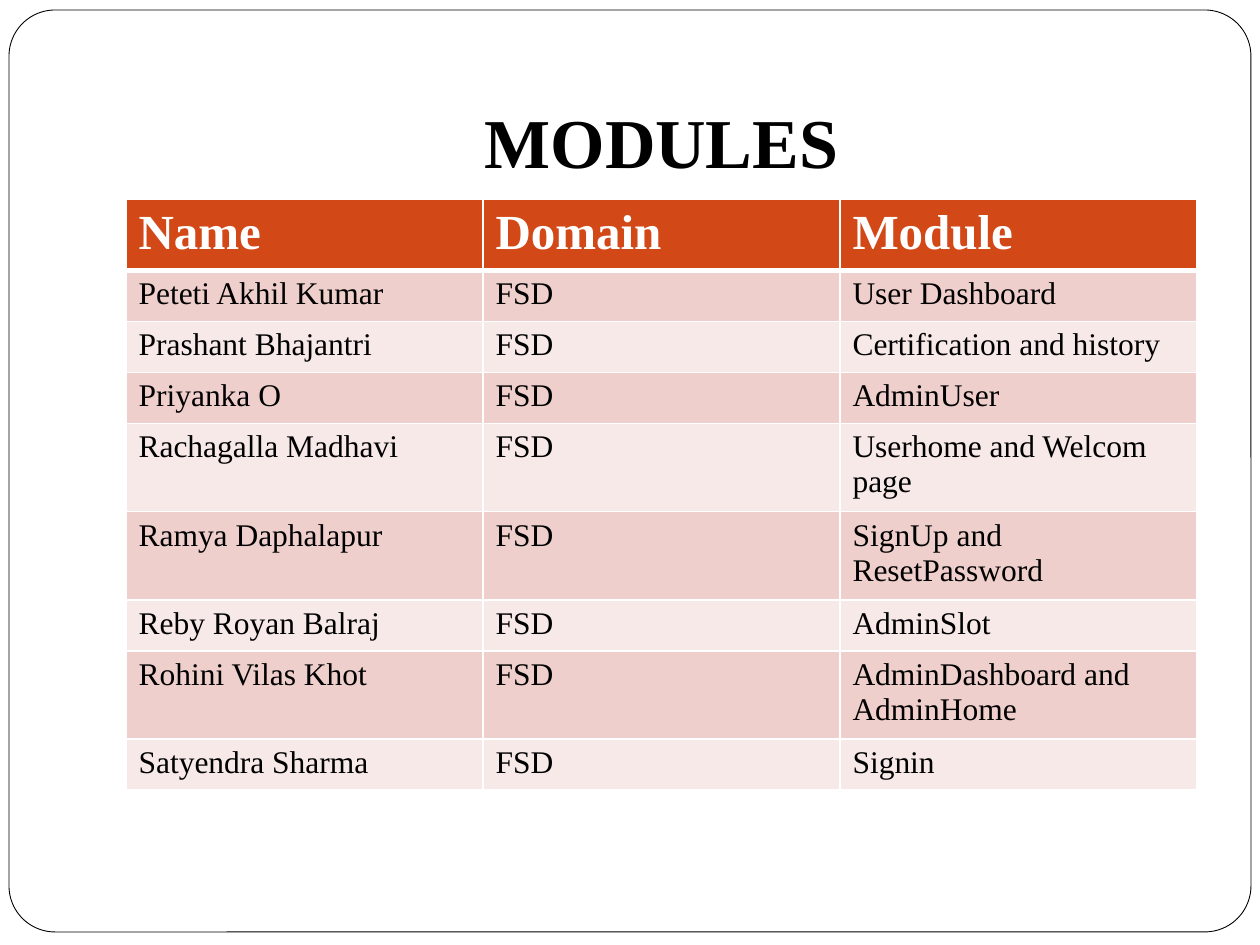
from dataclasses import dataclass

import pptx
import pptx.dml.color
import pptx.enum.shapes
import pptx.enum.text
import pptx.oxml.ns
import pptx.util
from lxml import etree

PX = 914400 / 126


@dataclass(frozen=True)
class Theme:
    font: str = "Times New Roman"
    ink: str = "000000"
    paper: str = "FFFFFF"
    header: str = "D34817"
    bands: tuple[str, str] = ("EFCFCC", "F7E9E8")
    title_size: int = 40
    header_size: int = 28
    body_size: int = 18


@dataclass(frozen=True)
class Box:
    left: int
    top: int
    width: int
    height: int

    def emu(self) -> tuple[int, ...]:
        return tuple(px(v) for v in (self.left, self.top, self.width, self.height))


@dataclass(frozen=True)
class Member:
    name: str
    module: str
    domain: str = "FSD"


@dataclass(frozen=True)
class CellStyle:
    fill: str
    color: str
    size: int
    bold: bool
    bottom: int


THEME = Theme()
FRAME = Box(9, 10, 1242, 922)
TITLE = Box(126, 38, 1071, 157)
TABLE = Box(126, 199, 1071, 518)
ROW_HEIGHT = 51
HEADINGS = ("Name", "Domain", "Module")
MEMBERS = (
    Member("Peteti Akhil Kumar", "User Dashboard"),
    Member("Prashant Bhajantri", "Certification and history"),
    Member("Priyanka O", "AdminUser"),
    Member("Rachagalla Madhavi", "Userhome and Welcom page"),
    Member("Ramya Daphalapur", "SignUp and ResetPassword"),
    Member("Reby Royan Balraj", "AdminSlot"),
    Member("Rohini Vilas Khot", "AdminDashboard and AdminHome"),
    Member("Satyendra Sharma", "Signin"),
)


def px(value: int) -> int:
    return round(value * PX)


def rgb(color: str) -> pptx.dml.color.RGBColor:
    return pptx.dml.color.RGBColor.from_string(color)


def add_run(p, text: str, size: int, color: str, bold: bool) -> None:
    r = p.add_run()
    r.text = text
    r.font.name = THEME.font
    r.font.size = pptx.util.Pt(size)
    r.font.bold = bold
    r.font.color.rgb = rgb(color)


def add_frame(s, box: Box) -> None:
    sp = s.shapes.add_shape(
        pptx.enum.shapes.MSO_SHAPE.ROUNDED_RECTANGLE, *box.emu())
    sp.adjustments[0] = 0.05
    sp.shadow.inherit = False
    sp.fill.solid()
    sp.fill.fore_color.rgb = rgb(THEME.paper)
    sp.line.color.rgb = rgb(THEME.ink)
    sp.line.width = pptx.util.Pt(0.5)


def add_title(s, box: Box, text: str) -> None:
    tf = s.shapes.add_textbox(*box.emu()).text_frame
    tf.word_wrap = True
    tf.vertical_anchor = pptx.enum.text.MSO_ANCHOR.BOTTOM
    tf.margin_bottom = pptx.util.Inches(0.1)
    p = tf.paragraphs[0]
    p.alignment = pptx.enum.text.PP_ALIGN.CENTER
    add_run(p, text, THEME.title_size, THEME.ink, True)


def add_border(cell, side: str, points: int) -> None:
    qn = pptx.oxml.ns.qn
    ln = etree.SubElement(cell._tc.get_or_add_tcPr(), qn(f"a:ln{side}"),
                          w=str(pptx.util.Pt(points)))
    fill = etree.SubElement(ln, qn("a:solidFill"))
    etree.SubElement(fill, qn("a:srgbClr"), val=THEME.paper)


def fill_cell(cell, text: str, style: CellStyle) -> None:
    for side, points in (("L", 1), ("R", 1), ("T", 1), ("B", style.bottom)):
        add_border(cell, side, points)
    cell.fill.solid()
    cell.fill.fore_color.rgb = rgb(style.fill)
    add_run(cell.text_frame.paragraphs[0], text, style.size, style.color, style.bold)


def row_style(row: int) -> CellStyle:
    if row == 0:
        return CellStyle(THEME.header, THEME.paper, THEME.header_size, True, 3)
    bottom_fill = THEME.bands[(row - 1) % 2]
    return CellStyle(bottom_fill, THEME.ink, THEME.body_size, False, 1)


def add_members(s, box: Box, members: tuple[Member, ...]) -> None:
    rows = [HEADINGS] + [(m.name, m.domain, m.module) for m in members]
    table = s.shapes.add_table(len(rows), len(HEADINGS), *box.emu()).table
    for column in table.columns:
        column.width = px(box.width // len(HEADINGS))
    for i, texts in enumerate(rows):
        table.rows[i].height = px(ROW_HEIGHT)
        for j, text in enumerate(texts):
            fill_cell(table.cell(i, j), text, row_style(i))


def main() -> None:
    prs = pptx.Presentation()
    prs.slide_width = px(1260)
    prs.slide_height = px(945)
    s = prs.slides.add_slide(prs.slide_layouts[6])
    add_frame(s, FRAME)
    add_title(s, TITLE, "MODULES")
    add_members(s, TABLE, MEMBERS)
    prs.save("out.pptx")


if __name__ == "__main__":
    main()
